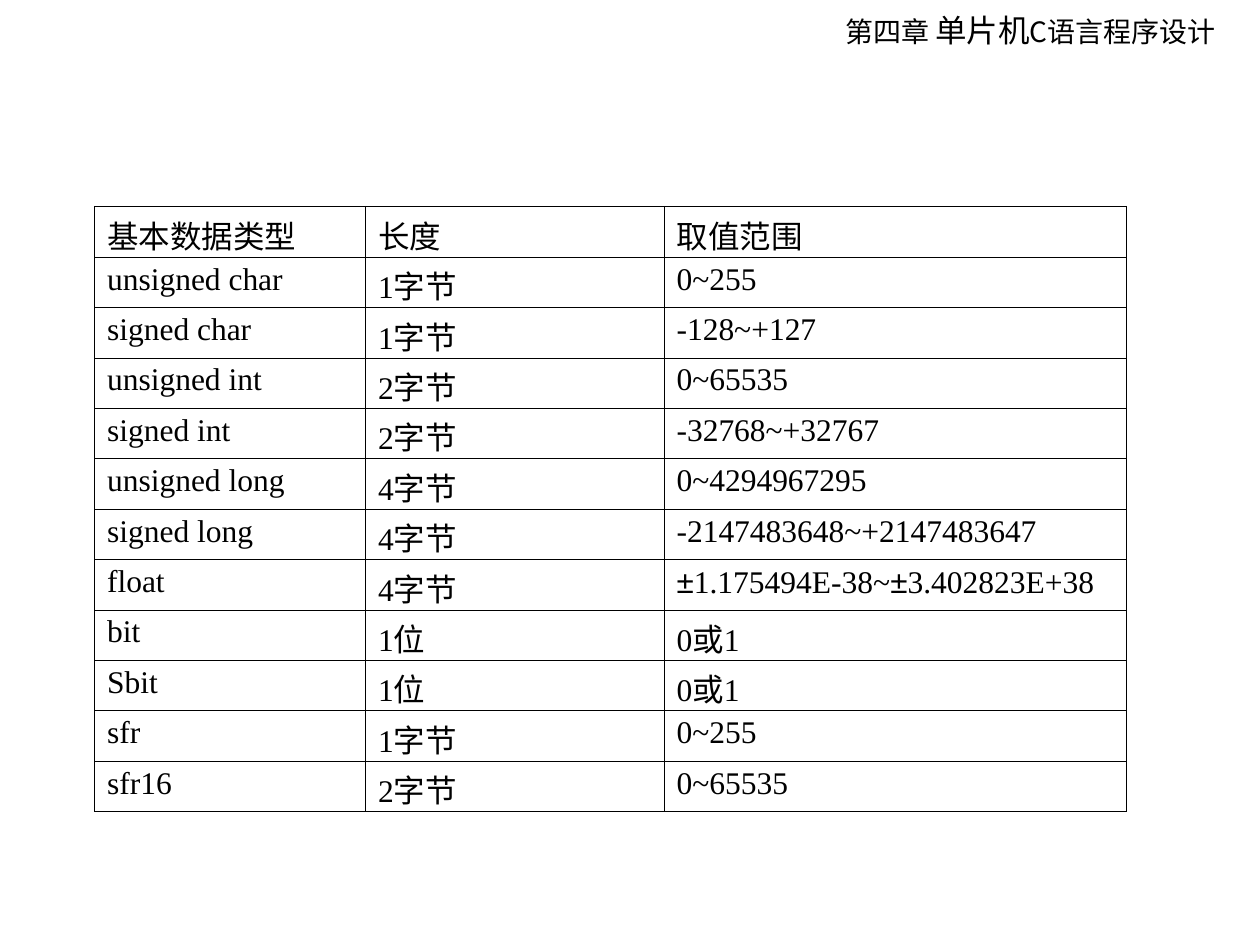
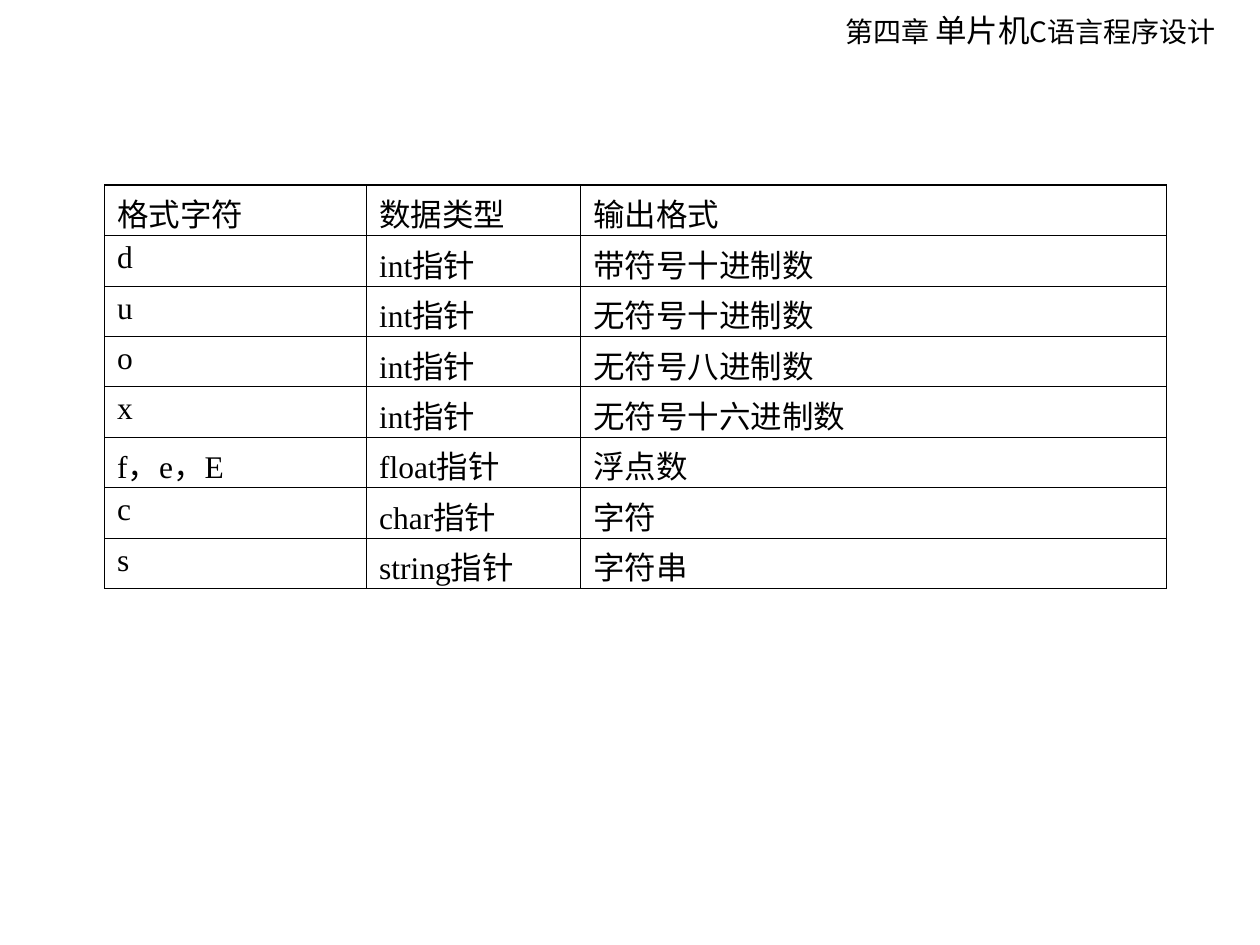
from itertools import groupby

from lxml import etree
from pptx import Presentation
from pptx.dml.color import RGBColor
from pptx.enum.text import MSO_ANCHOR, MSO_AUTO_SIZE
from pptx.oxml.ns import qn
from pptx.util import Inches, Pt

BLACK = RGBColor(0, 0, 0)
WHITE = RGBColor(255, 255, 255)
MIDDLE = MSO_ANCHOR.MIDDLE
GROW = MSO_AUTO_SIZE.SHAPE_TO_FIT_TEXT
SANS, SERIF, SIGN = "Noto Sans CJK JP", "Times New Roman", "Arial"
THIN, INNER, THICK = 0.34, 0.45, 0.96
ROW = 0.4
HEAD = [("第四章 ", 16), ("单片机", 18), ("C语言程序设计", 16)]

TYPES = [
    ("基本数据类型", "长度", "取值范围"),
    ("unsigned char", "1字节", "0~255"),
    ("signed char", "1字节", "-128~+127"),
    ("unsigned int", "2字节", "0~65535"),
    ("signed int", "2字节", "-32768~+32767"),
    ("unsigned long", "4字节", "0~4294967295"),
    ("signed long", "4字节", "-2147483648~+2147483647"),
    ("float", "4字节", "±1.175494E-38~±3.402823E+38"),
    ("bit", "1位", "0或1"),
    ("Sbit", "1位", "0或1"),
    ("sfr", "1字节", "0~255"),
    ("sfr16", "2字节", "0~65535"),
]
FORMATS = [
    ("格式字符", "数据类型", "输出格式"),
    ("d", "int指针", "带符号十进制数"),
    ("u", "int指针", "无符号十进制数"),
    ("o", "int指针", "无符号八进制数"),
    ("x", "int指针", "无符号十六进制数"),
    ("f，e，E", "float指针", "浮点数"),
    ("c", "char指针", "字符"),
    ("s", "string指针", "字符串"),
]


class Deck:
    """Holds the shared style and the current slide."""

    def __init__(self):
        self.prs = Presentation()
        self.prs.slide_width, self.prs.slide_height = Inches(10), Inches(7.5)

    def page(self):
        self.slide = self.prs.slides.add_slide(self.prs.slide_layouts[6])
        self.header()

    def text(self, para, words, size, font):
        run = para.add_run()
        run.text = words
        run.font.size, run.font.name = Pt(size), font
        run.font.color.rgb = BLACK
        east = etree.SubElement(run._r.get_or_add_rPr(), qn("a:ea"))
        east.set("typeface", SANS)

    def header(self):
        box = self.slide.shapes.add_textbox(
            Inches(6.61), Inches(0.04), Inches(3.25), Inches(0.4))
        frame = box.text_frame
        frame.word_wrap, frame.auto_size = False, GROW
        frame.vertical_anchor = MIDDLE
        for words, size in HEAD:
            self.text(frame.paragraphs[0], words, size, SANS)

    def edge(self, cell, side, width):
        line = etree.SubElement(cell._tc.get_or_add_tcPr(), qn(f"a:ln{side}"))
        line.set("w", str(Pt(width)))
        fill = etree.SubElement(line, qn("a:solidFill"))
        etree.SubElement(fill, qn("a:srgbClr")).set("val", str(BLACK))

    def cell(self, cell, words, edges):
        cell.margin_left = cell.margin_right = Inches(0.1)
        cell.margin_top, cell.margin_bottom = Inches(0.04), 0
        para = cell.text_frame.paragraphs[0]
        for sign, part in groupby(words, lambda char: char == "±"):
            self.text(para, "".join(part), 18, SIGN if sign else SERIF)
        for side, width in edges.items():
            self.edge(cell, side, width)
        cell.fill.solid()
        cell.fill.fore_color.rgb = WHITE

    def table(self, left, top, widths, rows):
        table = self.slide.shapes.add_table(
            len(rows), len(widths), Inches(left), Inches(top),
            Inches(sum(widths)), Inches(ROW * len(rows))).table
        table.first_row = table.horz_banding = False
        for col, width in zip(table.columns, widths):
            col.width = Inches(width)
        last, end = len(rows) - 1, len(widths) - 1
        for r, row in enumerate(rows):
            table.rows[r].height = Inches(ROW)
            for c, words in enumerate(row):
                edges = {
                    "L": THIN if c == 0 else INNER,
                    "R": THIN if c == end else INNER,
                    "T": THICK if r == 0 else INNER,
                    "B": THICK if r == last else INNER,
                }
                self.cell(table.cell(r, c), words, edges)


def main():
    deck = Deck()
    deck.page()
    deck.table(0.75, 1.64, (2.15, 2.37, 3.67), TYPES)
    deck.page()
    deck.table(0.83, 1.47, (2.08, 1.7, 4.65), FORMATS)
    deck.prs.save("out.pptx")


if __name__ == "__main__":
    main()
